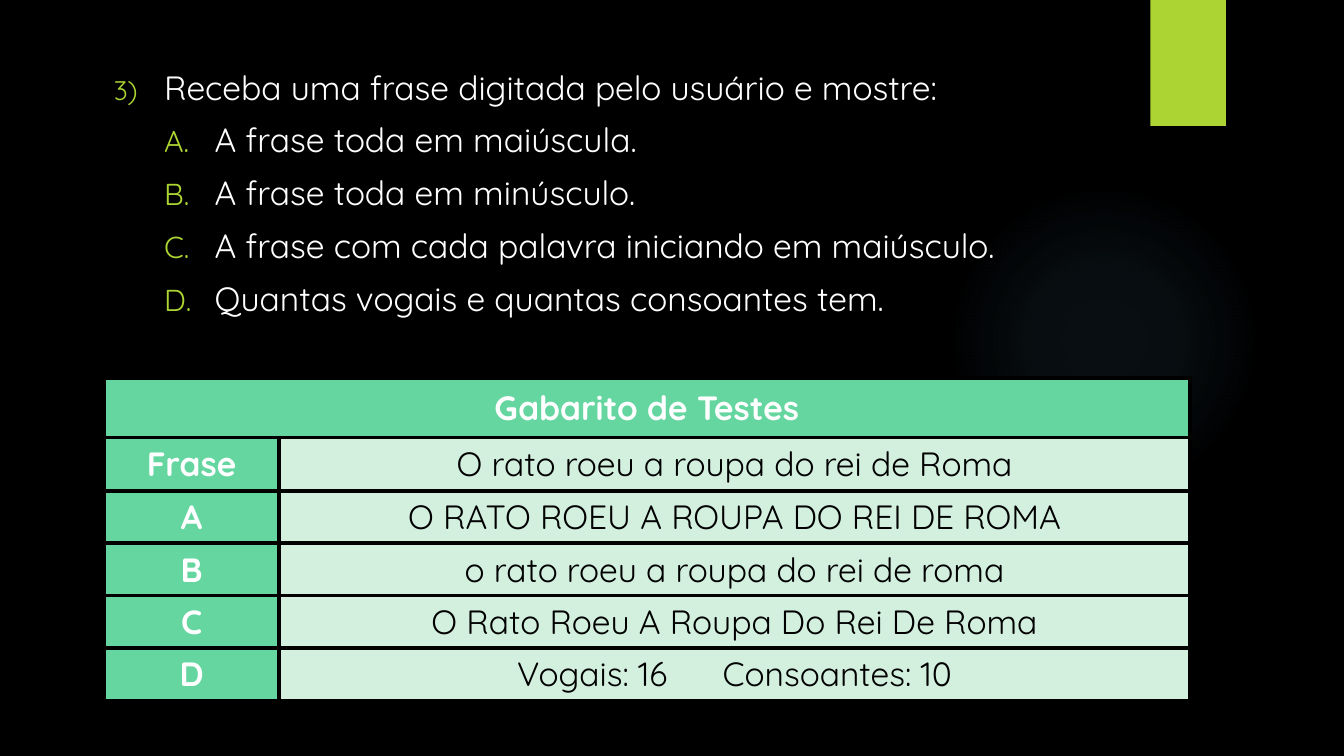
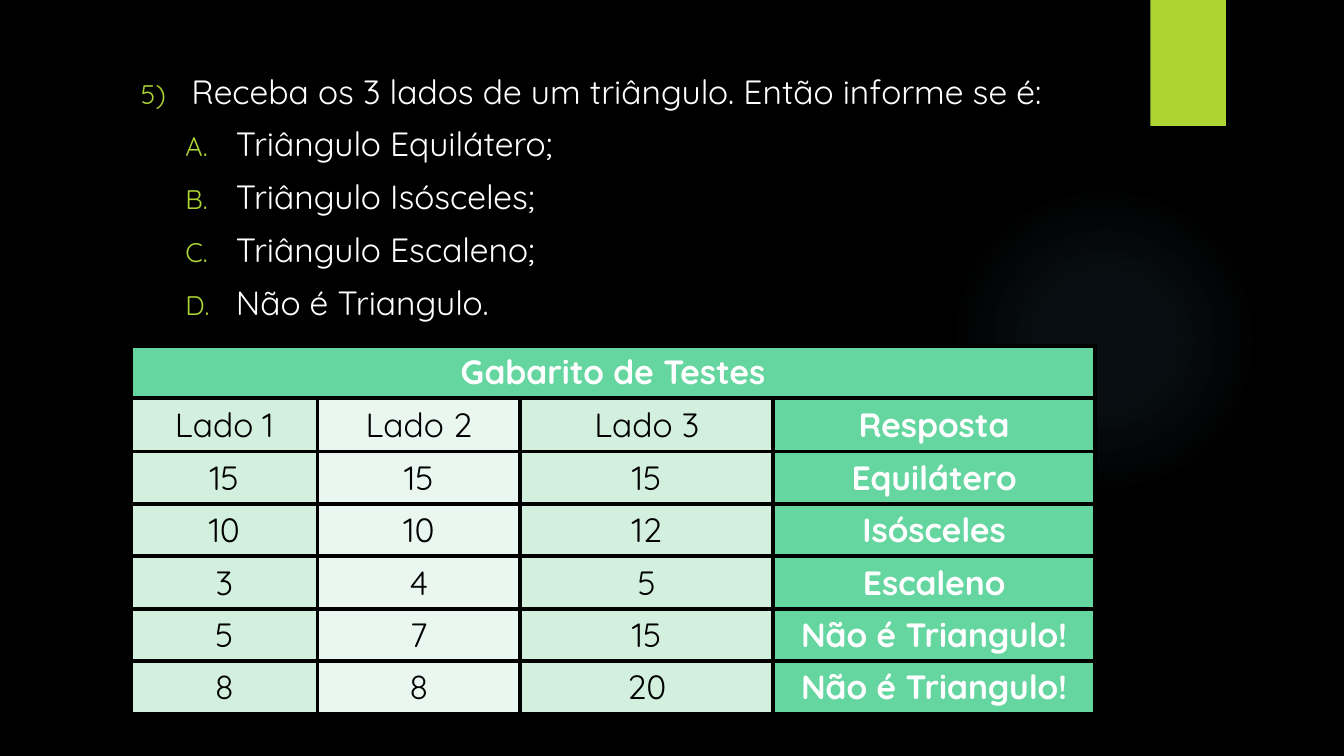
from lxml.etree import SubElement
from pptx import Presentation
from pptx.dml.color import RGBColor
from pptx.enum.shapes import MSO_SHAPE
from pptx.enum.text import MSO_ANCHOR, PP_ALIGN
from pptx.oxml.ns import qn
from pptx.util import Emu, Pt

FONT = "Quicksand"
TEXT_SIZE = 24
BLACK = "000000"
WHITE = "FFFFFF"
LIME = "ACD433"
GLOW = "7AC4F0"
GREEN = "65D6A0"
MINT = "D3F0DF"
PALE = "EAF7F0"
TABLE_TITLE = "Gabarito de Testes"
HANGING = 50
BORDER = 3
WIDE_GAP = 33


def px(length):
    return Emu(length * 9144)


def color(value):
    return RGBColor.from_string(value)


def add_child(parent, tag, **attributes):
    return SubElement(parent, qn(tag), {key: str(value) for key, value in attributes.items()})


def add_plain_shape(page, kind, left, top, width, height, fill):
    shape = page.shapes.add_shape(kind, px(left), px(top), px(width), px(height))
    shape.shadow.inherit = False
    shape.line.fill.background()
    shape.fill.solid()
    shape.fill.fore_color.rgb = color(fill)
    return shape


def add_glow(page):
    shape = add_plain_shape(page, MSO_SHAPE.OVAL, 941, 183, 308, 308, GLOW)
    shape.fill.gradient()
    gradient = shape.element.spPr.find(qn("a:gradFill"))
    for child in list(gradient):
        gradient.remove(child)
    stops = add_child(gradient, "a:gsLst")
    for position, opacity in ((0, 7), (36, 6), (69, 0)):
        stop = add_child(stops, "a:gs", pos=position * 1000)
        tint = add_child(stop, "a:srgbClr", val=GLOW)
        add_child(tint, "a:alpha", val=opacity * 1000)
    route = add_child(gradient, "a:path", path="circle")
    add_child(route, "a:fillToRect", l=50000, t=50000, r=50000, b=50000)


def add_page(deck):
    page = deck.slides.add_slide(deck.slide_layouts[6])
    page.background.fill.solid()
    page.background.fill.fore_color.rgb = color(BLACK)
    add_glow(page)
    add_plain_shape(page, MSO_SHAPE.RECTANGLE, 1141, 0, 75, 125, LIME)
    return page


def format_span(span, text_color, bold=False):
    span.font.name = FONT
    span.font.size = Pt(TEXT_SIZE)
    span.font.bold = bold
    span.font.color.rgb = color(text_color)


def number_paragraph(para, indent, scheme, start, size):
    properties = para._p.get_or_add_pPr()
    properties.set("marL", str(px(indent)))
    properties.set("indent", str(px(-HANGING)))
    bullet_color = add_child(properties, "a:buClr")
    add_child(bullet_color, "a:srgbClr", val=LIME)
    add_child(properties, "a:buSzPct", val=size * 1000)
    add_child(properties, "a:buFont", typeface=FONT)
    add_child(properties, "a:buAutoNum", type=scheme, startAt=start)


def add_exercise(page, place, number, question, items, item_indent, item_size):
    box = page.shapes.add_textbox(*map(px, place))
    frame = box.text_frame
    frame.word_wrap = True
    frame.text = "\n".join([question, *items])
    for index, para in enumerate(frame.paragraphs):
        para.space_before = Pt(9 if index else 0)
        if index:
            para.level = 1
            number_paragraph(para, item_indent, "alphaUcPeriod", 1, item_size)
        else:
            number_paragraph(para, HANGING, "arabicParenR", number, 80)
        format_span(para.runs[0], WHITE)


def add_borders(cell):
    properties = cell._tc.get_or_add_tcPr()
    for side in ("a:lnL", "a:lnR", "a:lnT", "a:lnB"):
        line = add_child(properties, side, w=Pt(BORDER))
        fill = add_child(line, "a:solidFill")
        add_child(fill, "a:srgbClr", val=BLACK)


def style_cell(cell, fill):
    add_borders(cell)
    cell.fill.solid()
    cell.fill.fore_color.rgb = color(fill)
    cell.vertical_anchor = MSO_ANCHOR.MIDDLE


def write_cell(cell, text, fill):
    first, *others = text.split("\t")
    para = cell.text_frame.paragraphs[0]
    para.text = first
    para.alignment = PP_ALIGN.CENTER
    for part in others:
        gap = para.add_run()
        gap.text = " "
        gap.font._element.set("spc", str(WIDE_GAP * 100))
        para.add_run().text = part
    is_key = fill == GREEN
    for span in para.runs:
        format_span(span, WHITE if is_key else BLACK, is_key)


def add_answers(page, left, top, widths, heights, fills, rows):
    frame = page.shapes.add_table(
        len(heights), len(widths), px(left), px(top), px(sum(widths)), px(sum(heights))
    )
    table = frame.table
    table.first_row = False
    table.horz_banding = False
    for column, width in zip(table.columns, widths):
        column.width = px(width)
    for row, height in zip(table.rows, heights):
        row.height = px(height)
    title = table.cell(0, 0)
    title.merge(table.cell(0, len(widths) - 1))
    for index in range(len(widths)):
        style_cell(table.cell(0, index), GREEN)
    write_cell(title, TABLE_TITLE, GREEN)
    for row_index, texts in enumerate(rows, 1):
        for column_index, (text, fill) in enumerate(zip(texts, fills)):
            cell = table.cell(row_index, column_index)
            style_cell(cell, fill)
            write_cell(cell, text, fill)


def add_phrase_page(deck):
    page = add_page(deck)
    add_exercise(
        page, (103, 61, 1025, 300), 3,
        "Receba uma frase digitada pelo usuário e mostre:",
        [
            "A frase toda em maiúscula.",
            "A frase toda em minúsculo.",
            "A frase com cada palavra iniciando em maiúsculo.",
            "Quantas vogais e quantas consoantes tem.",
        ],
        100, 90,
    )
    add_answers(
        page, 103, 375, [174, 903], [59, 53] + [52] * 4, [GREEN, MINT],
        [
            ("Frase", "O rato roeu a roupa do rei de Roma"),
            ("A", "O RATO ROEU A ROUPA DO REI DE ROMA"),
            ("B", "o rato roeu a roupa do rei de roma"),
            ("C", "O Rato Roeu A Roupa Do Rei De Roma"),
            ("D", "Vogais: 16\tConsoantes: 10"),
        ],
    )


def add_triangle_page(deck):
    page = add_page(deck)
    add_exercise(
        page, (130, 65, 1125, 296), 5,
        "Receba os 3 lados de um triângulo. Então informe se é:",
        [
            "Triângulo Equilátero;",
            "Triângulo Isósceles;",
            "Triângulo Escaleno;",
            "Não é Triangulo.",
        ],
        94, 80,
    )
    add_answers(
        page, 130, 343, [185, 201, 251, 319], [52, 53] + [52] * 5,
        [MINT, PALE, MINT, GREEN],
        [
            ("Lado 1", "Lado 2", "Lado 3", "Resposta"),
            ("15", "15", "15", "Equilátero"),
            ("10", "10", "12", "Isósceles"),
            ("3", "4", "5", "Escaleno"),
            ("5", "7", "15", "Não é Triangulo!"),
            ("8", "8", "20", "Não é Triangulo!"),
        ],
    )


def main():
    deck = Presentation()
    deck.slide_width = px(1333)
    deck.slide_height = px(750)
    add_phrase_page(deck)
    add_triangle_page(deck)
    deck.save("out.pptx")


if __name__ == "__main__":
    main()
